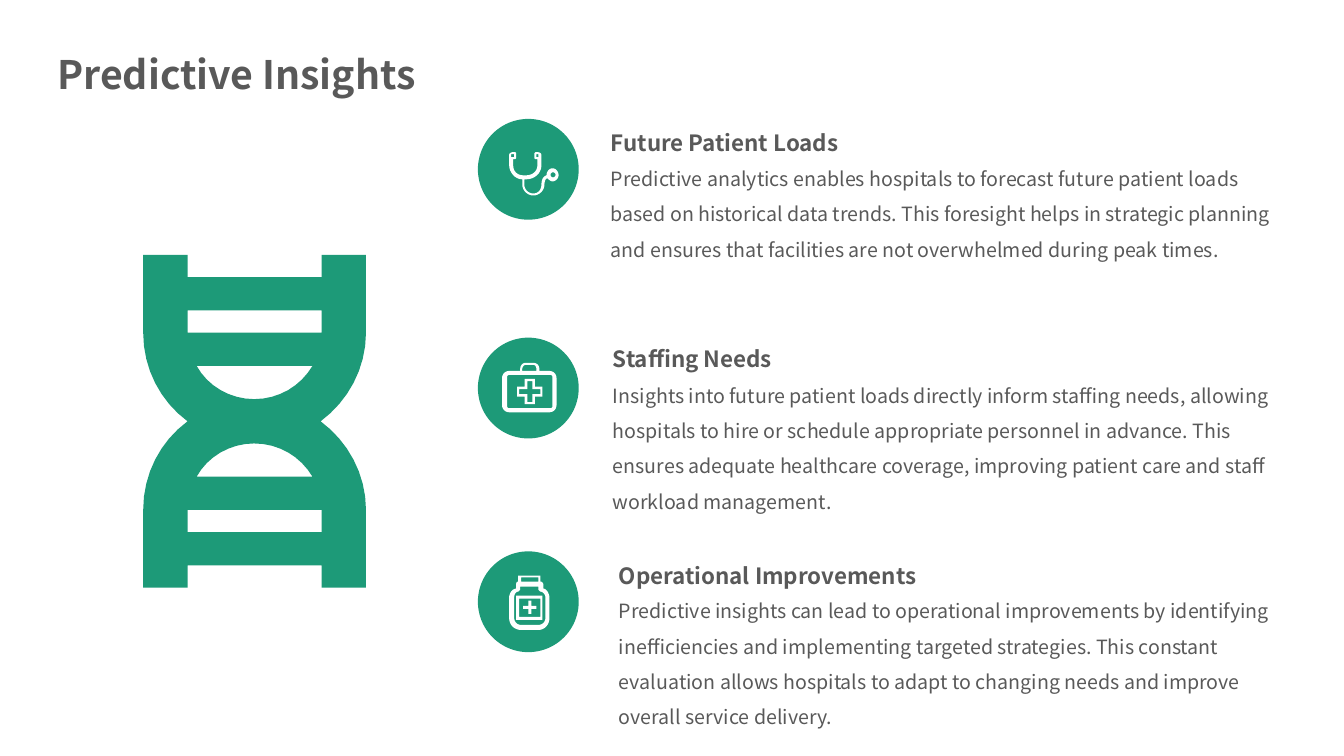
from pptx import Presentation, util as u
from pptx.dml.color import RGBColor
from pptx.enum import shapes, text

COLORS = {"green": "1D9A78", "white": "FFFFFF", "gray": "595959"}
FONT = "Noto Sans CJK SC"
PX = 9144  # EMU per px, 100 px to the inch
STEPS = 8  # line segments per curve


# Outlines: a pair is a corner, six numbers are a Bezier curve
def box(x, y, w, h):
    return [(x, y), (x + w, y), (x + w, y + h), (x, y + h)]


def round_box(x, y, w, h, r):
    c = 0.45 * r
    x2, y2 = x + w, y + h
    return [(x + r, y), (x2 - r, y), (x2 - c, y, x2, y + c, x2, y + r),
            (x2, y2 - r), (x2, y2 - c, x2 - c, y2, x2 - r, y2),
            (x + r, y2), (x + c, y2, x, y2 - c, x, y2 - r),
            (x, y + r), (x, y + c, x + c, y, x + r, y)]


def plus(x, y, size, arm):
    a = (size - arm) / 2
    b = a + arm
    turns = [(a, 0), (b, 0), (b, a), (size, a), (size, b), (b, b),
             (b, size), (a, size), (a, b), (0, b), (0, a), (a, a)]
    return [(x + dx, y + dy) for dx, dy in turns]


def flatten(outline):
    points = []
    for step in outline:
        if len(step) == 2:
            points.append(step)
            continue
        ends = [points[-1], step[:2], step[2:4], step[4:]]
        for i in range(1, STEPS + 1):
            t = i / STEPS
            weights = ((1 - t) ** 3, 3 * t * (1 - t) ** 2, 3 * t * t * (1 - t), t ** 3)
            points.append(tuple(sum(k * e[axis] for k, e in zip(weights, ends))
                                for axis in (0, 1)))
    return [(x * PX, y * PX) for x, y in points]


class Deck:
    def __init__(self, width, height):
        self.prs = Presentation()
        self.prs.slide_width, self.prs.slide_height = width * PX, height * PX
        self.s = self.prs.slides.add_slide(self.prs.slide_layouts[5])

    def paint(self, sp, color):
        sp.shadow.inherit = False
        sp.fill.solid()
        sp.fill.fore_color.rgb = RGBColor.from_string(COLORS[color])
        sp.line.fill.background()
        return sp

    def circle(self, x, y, size):
        sp = self.s.shapes.add_shape(shapes.MSO_SHAPE.OVAL,
                                     *(v * PX for v in (x, y, size, size)))
        return self.paint(sp, "green")

    def outline(self, contours, color):
        first, *others = [flatten(c) for c in contours]
        builder = self.s.shapes.build_freeform(*first[0], scale=1.0)
        builder.add_line_segments(first[1:], close=True)
        for points in others:
            builder.move_to(*points[0])
            builder.add_line_segments(points[1:], close=True)
        return self.paint(builder.convert_to_shape(), color)

    def badge(self, x, y, icon):
        parts = [self.circle(x, y, 100), self.outline(icon, "white")]
        self.s.shapes.add_group_shape(parts)

    def set_text(self, sp, words, size, bold, spacing):
        tf = sp.text_frame
        tf.word_wrap = True
        tf.auto_size = text.MSO_AUTO_SIZE.SHAPE_TO_FIT_TEXT
        tf.vertical_anchor = text.MSO_ANCHOR.TOP
        tf.text = words
        p = tf.paragraphs[0]
        p.alignment = text.PP_ALIGN.LEFT
        p.line_spacing = spacing
        p.space_before = u.Pt(0)
        p.font.name, p.font.size, p.font.bold = FONT, u.Pt(size), bold
        p.font.color.rgb = RGBColor.from_string(COLORS["gray"])

    def title(self, x, y, w, h, words):
        sp = self.s.shapes.title
        sp.left, sp.top, sp.width, sp.height = (v * PX for v in (x, y, w, h))
        self.set_text(sp, words, 28, True, 1.0)

    def textbox(self, x, y, w, h, words, size, bold, spacing):
        sp = self.s.shapes.add_textbox(*(v * PX for v in (x, y, w, h)))
        self.set_text(sp, words, size, bold, spacing)


DNA = [
    [(363, 330), (363, 253), (319, 253), (319, 275), (186, 275), (186, 253),
     (142, 253), (142, 330), (142, 366, 159, 398, 186, 418),
     (159, 438, 142, 470, 142, 506), (142, 583), (186, 583), (186, 561),
     (319, 561), (319, 583), (363, 583), (363, 506),
     (363, 470, 345, 438, 318, 418), (345, 398, 363, 366, 363, 330)],
    box(186, 308, 133, 22),
    box(186, 506, 133, 22),
    [(195, 363), (310, 363), (298, 383, 277, 396, 252, 396),
     (228, 396, 206, 383, 195, 363)],
    [(195, 473), (310, 473), (298, 453, 277, 440, 252, 440),
     (228, 440, 206, 453, 195, 473)],
]

STETHOSCOPE = [
    [(548, 167), (551, 167, 554, 170, 554, 174), (554, 177, 551, 180, 548, 180),
     (546, 180, 544, 178, 543, 177), (541, 177, 540, 180, 540, 183),
     (540, 189, 535, 194, 529, 194), (523, 194, 518, 189, 518, 183),
     (518, 178), (511, 178, 505, 171, 505, 164), (505, 154),
     (505, 152, 507, 151, 509, 151), (511, 151), (512, 152), (512, 157),
     (511, 158), (509, 158), (509, 164), (509, 170, 513, 174, 519, 174),
     (522, 174), (528, 174, 533, 170, 533, 164), (533, 158), (531, 158),
     (530, 157), (530, 152), (531, 151), (533, 151),
     (535, 151, 537, 152, 537, 154), (537, 164),
     (537, 172, 530, 178, 522, 178), (520, 178), (520, 183),
     (520, 188, 524, 192, 529, 192), (534, 192, 537, 188, 537, 183),
     (537, 178, 539, 175, 542, 174), (542, 170, 545, 167, 548, 167)],
    box(507, 153, 3, 3),
    box(532, 153, 2, 3),
    round_box(546, 171, 5, 5, 2.5),
]

FIRST_AID_KIT = [
    round_box(498, 368, 54, 41, 7),
    round_box(503, 372, 45, 33, 2),
    [(516, 368), (516, 366), (516, 362, 519, 360, 521, 360), (529, 360),
     (532, 360, 535, 362, 535, 366), (535, 368), (532, 368), (532, 366),
     (532, 364, 531, 362, 529, 362), (521, 362),
     (520, 362, 518, 364, 518, 366), (518, 368)],
    plus(513, 376, 25, 10),
    plus(515, 378, 21, 5),
]

BOTTLE = [
    [(514, 571), (514, 577), (512, 577, 512, 579, 512, 580), (512, 584),
     (508, 584, 505, 589, 505, 593), (505, 613),
     (505, 620, 510, 625, 517, 625), (534, 625),
     (540, 625, 545, 620, 545, 613), (545, 593),
     (545, 589, 542, 584, 539, 584), (539, 580),
     (539, 579, 538, 577, 536, 577), (536, 571)],
    box(517, 573, 17, 4),
    [(510, 613), (510, 593), (510, 589, 512, 587, 514, 587), (516, 585),
     (516, 582), (534, 582), (534, 585), (536, 587),
     (538, 587, 541, 589, 541, 593), (541, 613),
     (541, 617, 538, 620, 534, 620), (517, 620),
     (513, 620, 510, 617, 510, 613)],
    box(512, 591, 26, 24),
    box(515, 594, 21, 18),
    plus(519, 596, 13, 3),
]

# Icon, circle top, text left, text width, heading top, body top, heading, body
INSIGHTS = [
    (STETHOSCOPE, 118, 596, 693, 118, 149, "Future Patient Loads",
     "Predictive analytics enables hospitals to forecast future patient loads "
     "based on historical data trends. This foresight helps in strategic planning "
     "and ensures that facilities are not overwhelmed during peak times."),
    (FIRST_AID_KIT, 335, 598, 693, 332, 364, "Staffing Needs",
     "Insights into future patient loads directly inform staffing needs, allowing "
     "hospitals to hire or schedule appropriate personnel in advance. This "
     "ensures adequate healthcare coverage, improving patient care and staff "
     "workload management."),
    (BOTTLE, 547, 604, 688, 547, 578, "Operational Improvements",
     "Predictive insights can lead to operational improvements by identifying "
     "inefficiencies and implementing targeted strategies. This constant "
     "evaluation allows hospitals to adapt to changing needs and improve "
     "overall service delivery."),
]


def main():
    deck = Deck(1333, 750)
    # Title and large illustration
    deck.title(47, 45, 945, 57, "Predictive Insights")
    deck.outline(DNA, "green")
    # Three insights
    for icon, top, x, w, heading_y, body_y, heading, body in INSIGHTS:
        deck.badge(474, top, icon)
        deck.textbox(x, body_y, w, 83, body, 14, False, 1.5)
        deck.textbox(x, heading_y, w, 40, heading, 16, True, 1.2)
    deck.prs.save("out.pptx")


if __name__ == "__main__":
    main()
